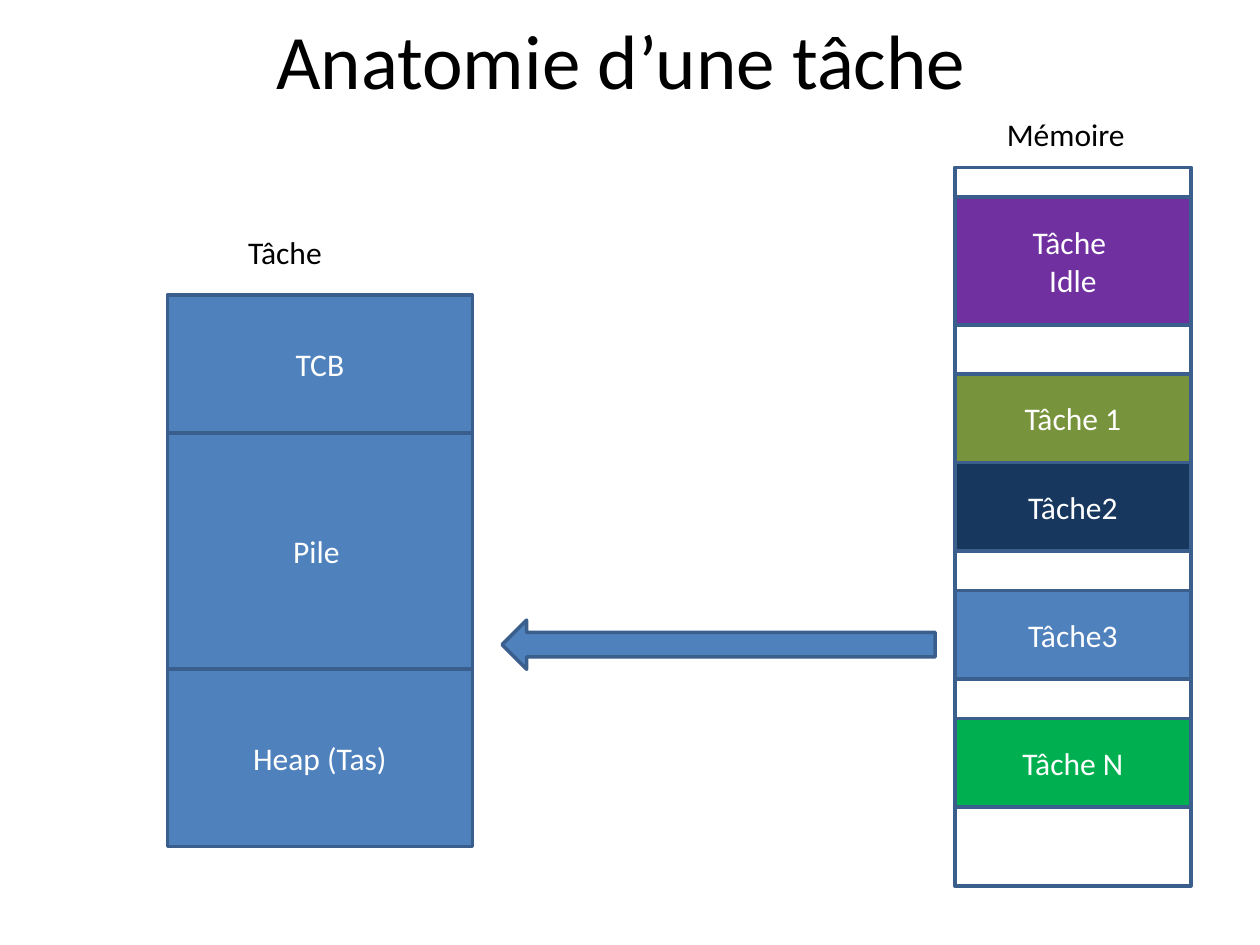
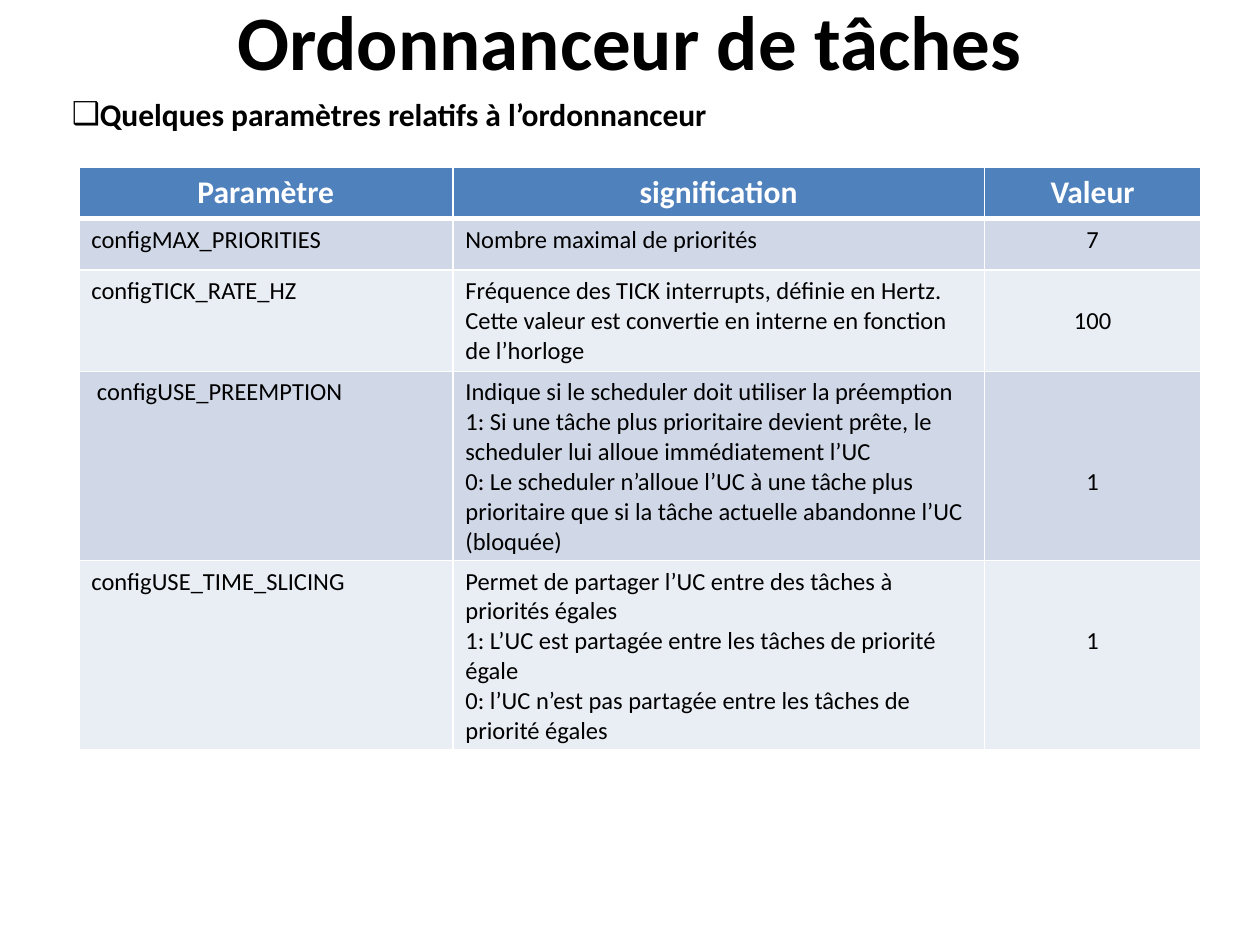
from dataclasses import dataclass

from lxml import etree
from pptx import Presentation
from pptx.dml.color import RGBColor
from pptx.enum.shapes import MSO_SHAPE
from pptx.enum.text import MSO_ANCHOR, MSO_AUTO_SIZE, PP_ALIGN
from pptx.oxml.ns import qn
from pptx.shapes.autoshape import Shape
from pptx.slide import Slide
from pptx.table import _Cell
from pptx.text.text import TextFrame
from pptx.util import Pt

RECT = MSO_SHAPE.RECTANGLE
ARROW = MSO_SHAPE.LEFT_ARROW
MIDDLE = MSO_ANCHOR.MIDDLE
LEFT = PP_ALIGN.LEFT
CENTER = PP_ALIGN.CENTER
FIT = MSO_AUTO_SIZE.SHAPE_TO_FIT_TEXT

FONT = "Calibri"
COLORS = {
    "black": "000000",
    "white": "FFFFFF",
    "blue": "4F81BD",
    "edge": "3A5F8C",
    "olive": "77933C",
    "navy": "17375E",
    "green": "00B050",
    "purple": "7030A0",
    "dark band": "D0D8E8",
    "light band": "E9EDF4",
}
GRID = Pt(45) // 8  # the diagram sits on a grid of 128 by 96 steps
LINE = 17  # height of one line of table text, in points


@dataclass
class Block:
    """A filled shape, placed in grid steps."""
    left: int
    top: int
    width: int
    height: int
    fill: str
    text: str = ""
    kind: MSO_SHAPE = RECT


@dataclass
class Label:
    """A one-line text box, placed in points."""
    left: float
    top: float
    width: float
    text: str
    bold: bool = False


@dataclass
class Param:
    """A table row; skip is the number of lines above the value."""
    name: str
    sense: str
    value: str
    skip: int
    height: float


TASK_X, TASK_W, TASK_TOP = 17, 31, 30
TASK = [("TCB", 14), ("Pile ", 24), ("Heap (Tas)", 18)]

MEM_X, MEM_W = 97, 24
MEMORY = [
    ("", 17, 73, "white"),
    ("Tâche \vIdle", 20, 13, "purple"),
    ("Tâche 1", 38, 9, "olive"),
    ("Tâche2", 47, 9, "navy"),
    ("Tâche3", 60, 9, "blue"),
    ("Tâche N", 73, 9, "green"),
]

HEADS = ["Paramètre", "signification", "Valeur"]
WIDTHS = [213.75, 303.75, 123.75]
HEAD_H = 29.25
PARAMS = [
    Param("configMAX_PRIORITIES", "Nombre maximal de priorités", "7", 0, 29.25),
    Param("configTICK_RATE_HZ",
          "Fréquence des TICK interrupts, définie en Hertz. Cette valeur est "
          "convertie en interne en fonction de l’horloge", "100", 1, 58),
    Param(" configUSE_PREEMPTION",
          "Indique si le scheduler doit utiliser la préemption\v"
          "1: Si une tâche plus prioritaire devient prête, le scheduler lui "
          "alloue immédiatement l’UC\v"
          "0: Le scheduler n’alloue l’UC à une tâche plus prioritaire que si "
          "la tâche actuelle abandonne l’UC (bloquée)", "1", 3, 107.5),
    Param("configUSE_TIME_SLICING",
          "Permet de partager l’UC entre des tâches à priorités égales\n"
          "1: L’UC est partagée entre les tâches de priorité égale\n"
          "0: l’UC n’est pas partagée entre les tâches de priorité égales",
          "1", 2, 107.5),
]


def color(name: str) -> RGBColor:
    return RGBColor.from_string(COLORS[name])


def write(frame: TextFrame, text: str, size: float, ink: str = "black",
          align: PP_ALIGN = LEFT, bold: bool = False) -> None:
    frame.text = text
    for para in frame.paragraphs:
        para.alignment = align
        font = para.font
        font.name, font.size, font.bold = FONT, Pt(size), bold
        font.color.rgb = color(ink)


def add_title(slide: Slide, text: str, top: float, bold: bool = False) -> None:
    box = slide.shapes.add_textbox(Pt(36), Pt(top), Pt(648), Pt(90))
    frame = box.text_frame
    frame.word_wrap = True
    frame.vertical_anchor = MIDDLE
    write(frame, text, 44, align=CENTER, bold=bold)


def add_label(slide: Slide, label: Label) -> Shape:
    box = slide.shapes.add_textbox(Pt(label.left), Pt(label.top),
                                   Pt(label.width), Pt(29))
    frame = box.text_frame
    frame.word_wrap = False
    frame.auto_size = FIT
    write(frame, label.text, 18, bold=label.bold)
    return box


def add_block(slide: Slide, block: Block) -> None:
    shape = slide.shapes.add_shape(
        block.kind, block.left * GRID, block.top * GRID,
        block.width * GRID, block.height * GRID)
    shape.shadow.inherit = False
    shape.fill.solid()
    shape.fill.fore_color.rgb = color(block.fill)
    shape.line.color.rgb = color("edge")
    shape.line.width = Pt(2)
    if block.text:
        shape.text_frame.vertical_anchor = MIDDLE
        write(shape.text_frame, block.text, 18, "white", CENTER)


def add_bullet(box: Shape, mark: str, indent: float) -> None:
    props = box.text_frame.paragraphs[0]._p.get_or_add_pPr()
    props.set("marL", str(Pt(indent)))
    props.set("indent", str(-Pt(indent)))
    etree.SubElement(props, qn("a:buFont")).set("typeface", FONT)
    etree.SubElement(props, qn("a:buChar")).set("char", mark)


def add_edges(cell: _Cell, top: float, bottom: float) -> None:
    """Draw white cell borders; their XML must come before the fill."""
    props = cell._tc.get_or_add_tcPr()
    edges = {"a:lnL": 1, "a:lnR": 1, "a:lnT": top, "a:lnB": bottom}
    for spot, (tag, width) in enumerate(edges.items()):
        line = etree.Element(qn(tag), w=str(Pt(width)))
        fill = etree.SubElement(line, qn("a:solidFill"))
        etree.SubElement(fill, qn("a:srgbClr")).set("val", COLORS["white"])
        props.insert(spot, line)


def fill_cell(cell: _Cell, fill: str, top: float = 1, bottom: float = 1) -> None:
    cell.fill.solid()
    cell.fill.fore_color.rgb = color(fill)
    add_edges(cell, top, bottom)


def add_params(slide: Slide) -> None:
    heights = [HEAD_H] + [param.height for param in PARAMS]
    table = slide.shapes.add_table(
        len(heights), len(HEADS), Pt(45), Pt(95.75),
        Pt(sum(WIDTHS)), Pt(sum(heights))).table
    for col, width in zip(table.columns, WIDTHS):
        col.width = Pt(width)
    for row, height in zip(table.rows, heights):
        row.height = Pt(height)

    for col, head in enumerate(HEADS):
        cell = table.cell(0, col)
        write(cell.text_frame, head, 18, "white", CENTER, True)
        fill_cell(cell, "blue", bottom=3)

    for row, param in enumerate(PARAMS, 1):
        band = "dark band" if row % 2 else "light band"
        for col, text in enumerate([param.name, param.sense, param.value]):
            cell = table.cell(row, col)
            last = col == len(HEADS) - 1
            write(cell.text_frame, text, 14, align=CENTER if last else LEFT)
            if last:
                cell.margin_top = Pt(3.6 + param.skip * LINE)
            fill_cell(cell, band, top=3 if row == 1 else 1)


def draw_task(slide: Slide) -> None:
    add_title(slide, "Anatomie d’une tâche ", -11.5)
    for text, top, height, fill in MEMORY:
        add_block(slide, Block(MEM_X, top, MEM_W, height, fill, text))
    add_block(slide, Block(51, 63, 44, 5, "blue", kind=ARROW))
    top = TASK_TOP
    for text, height in TASK:
        add_block(slide, Block(TASK_X, top, TASK_W, height, "blue", text))
        top += height
    add_label(slide, Label(568.25, 62, 82.5, "Mémoire"))
    add_label(slide, Label(134.75, 129.75, 57, "Tâche"))


def draw_params(slide: Slide) -> None:
    add_title(slide, "Ordonnanceur de tâches", -22.5, True)
    box = add_label(slide, Label(
        34, 50.5, 380, "Quelques paramètres relatifs à l’ordonnanceur", True))
    add_bullet(box, "❑", 15.5)
    add_params(slide)


def main() -> None:
    deck = Presentation()
    deck.slide_width, deck.slide_height = Pt(720), Pt(540)
    blank = deck.slide_layouts[6]
    for draw in (draw_task, draw_params):
        draw(deck.slides.add_slide(blank))
    deck.save("out.pptx")


if __name__ == "__main__":
    main()
